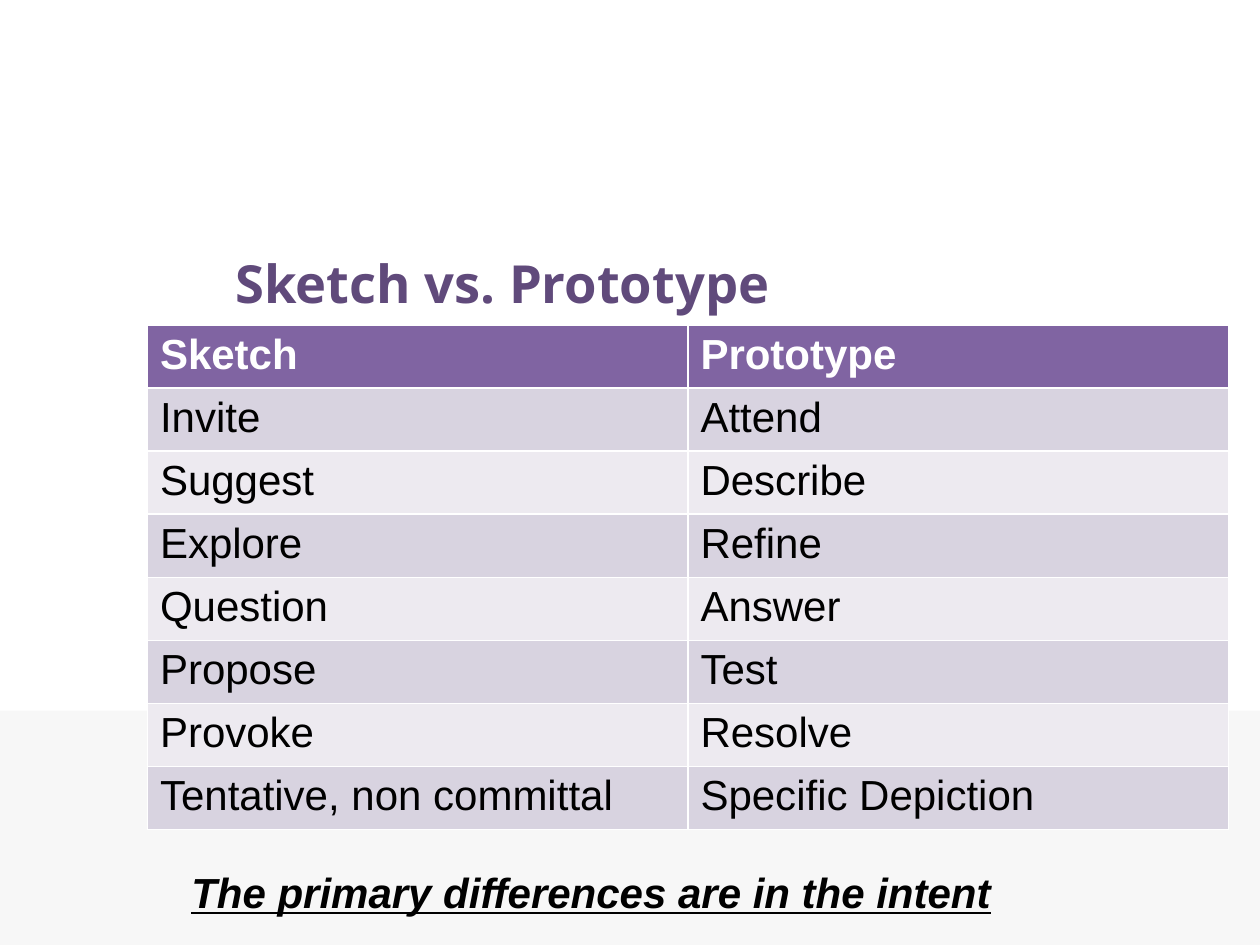
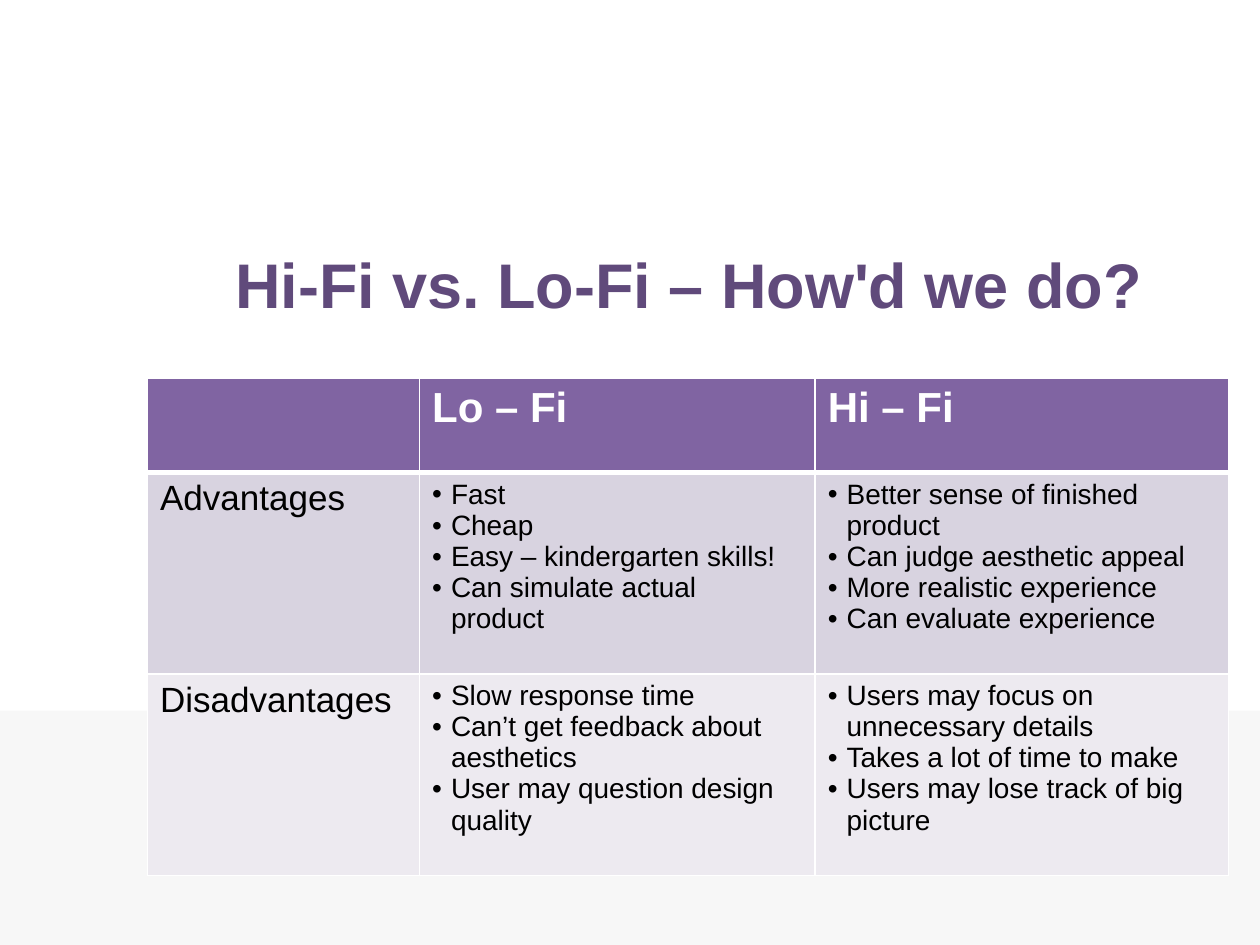
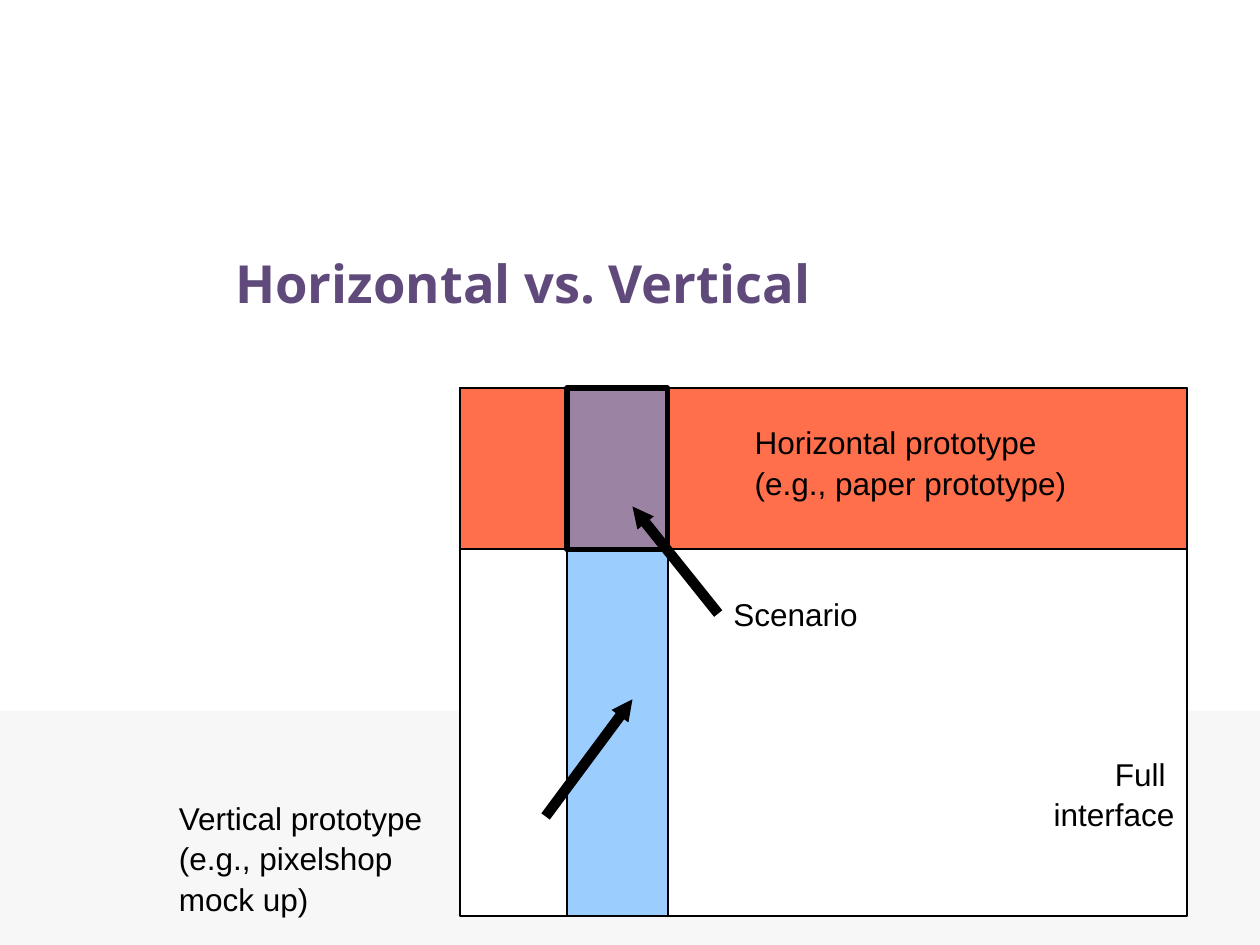
from dataclasses import dataclass

from lxml import etree
from pptx import Presentation
from pptx.dml.color import RGBColor
from pptx.enum.shapes import MSO_CONNECTOR, MSO_SHAPE
from pptx.enum.text import MSO_ANCHOR, PP_ALIGN
from pptx.oxml.ns import qn
from pptx.util import Emu, Inches, Pt

RECTANGLE = MSO_SHAPE.RECTANGLE
STRAIGHT = MSO_CONNECTOR.STRAIGHT
MIDDLE = MSO_ANCHOR.MIDDLE
LEFT, RIGHT = PP_ALIGN.LEFT, PP_ALIGN.RIGHT

SLIDE_W, SLIDE_H = Inches(10), Inches(7.5)
COLUMN, ROW = SLIDE_W // 100, SLIDE_H // 75


@dataclass(frozen=True)
class Theme:
    """Colours, fonts and type sizes of the deck."""
    paper: str = "FFFFFF"
    ink: str = "000000"
    band: str = "F7F7F7"
    title: str = "604A7B"
    header: str = "8064A2"
    stripes: tuple = ("D8D3E0", "EDEAF0")
    horizontal: str = "FF3300"
    vertical: str = "3399FF"
    body_font: str = "Arial"
    title_font: str = "Open Sans"
    title_size: int = 30
    wide_title_size: int = 36
    table_size: int = 24
    row_label_size: int = 20
    label_size: int = 18
    bullet_size: int = 16


THEME = Theme()


@dataclass(frozen=True)
class Box:
    """A region in grid columns and rows."""
    x: float
    y: float
    w: float
    h: float

    def inner(self, x, y, w, h):
        """Return a region placed from this region's top left corner."""
        return Box(self.x + x, self.y + y, w, h)

    def point(self, x, y):
        """Return a point placed from this region's top left corner."""
        return Emu(round((self.x + x) * COLUMN)), Emu(round((self.y + y) * ROW))

    def emu(self):
        """Return left, top, width and height as lengths."""
        return (*self.point(0, 0), Emu(round(self.w * COLUMN)), Emu(round(self.h * ROW)))


BAND = Box(0, 56.4, 100, 18.6)
TITLE = Box(17.7, 16.2, 77.3, 12.5)
VERB_TABLE = Box(11.7, 25.8, 85.8, 37.8)
INTENT = Box(14.2, 68.3, 73.3, 5)
FIDELITY_TABLE = Box(11.7, 30, 85.8, 39.5)
INTERFACE = Box(36.5, 30.8, 57.7, 41.9)

VERBS = [
    ("Sketch", "Prototype"),
    ("Invite", "Attend"),
    ("Suggest", "Describe"),
    ("Explore", "Refine"),
    ("Question", "Answer"),
    ("Propose", "Test"),
    ("Provoke", "Resolve"),
    ("Tentative, non committal", "Specific Depiction"),
]

FIDELITY = [
    ("", "Lo – Fi", "Hi – Fi"),
    ("Advantages",
     ["Fast", "Cheap", "Easy – kindergarten skills!", "Can simulate actual\nproduct"],
     ["Better sense of finished\nproduct", "Can judge aesthetic appeal",
      "More realistic experience", "Can evaluate experience"]),
    ("Disadvantages",
     ["Slow response time", "Can’t get feedback about\naesthetics",
      "User may question design\nquality"],
     ["Users may focus on\nunnecessary details", "Takes a lot of time to make",
      "Users may lose track of big\npicture"]),
]


def rgb(colour):
    """Turn a hex string into a colour."""
    return RGBColor.from_string(colour)


def sub(parent, tag, **attributes):
    """Append a drawing element to a parent."""
    return etree.SubElement(parent, qn(tag), attributes)


def write(frame, lines, size, colour=THEME.ink, font=THEME.body_font, bold=False,
          italic=False, underline=False, align=LEFT, spacing=None, bullets=False):
    """Write lines as paragraphs of one style, breaking at newlines."""
    for index, line in enumerate(lines):
        paragraph = frame.paragraphs[0] if index == 0 else frame.add_paragraph()
        if bullets:
            properties = paragraph._p.get_or_add_pPr()
            hang = Inches(0.15)
            properties.set("marL", str(hang))
            properties.set("indent", str(-hang))
            sub(properties, "a:buFont", typeface=THEME.body_font)
            sub(properties, "a:buChar", char="•")
        paragraph.alignment = align
        if spacing:
            paragraph.line_spacing = spacing
        for part_index, part in enumerate(line.split("\n")):
            if part_index:
                paragraph.add_line_break()
            run = paragraph.add_run()
            run.text = part
            run.font.name, run.font.size = font, Pt(size)
            run.font.bold, run.font.italic, run.font.underline = bold, italic, underline
            run.font.color.rgb = rgb(colour)


def add_text(slide, box, lines, size, inset=True, anchor=None, **style):
    """Place a wrapped text box."""
    frame = slide.shapes.add_textbox(*box.emu()).text_frame
    frame.word_wrap = True
    if anchor is not None:
        frame.vertical_anchor = anchor
    if not inset:
        frame.margin_left = frame.margin_right = frame.margin_top = frame.margin_bottom = 0
    write(frame, lines, size, **style)


def add_rectangle(slide, box, fill=None, opacity=100, line=None):
    """Place a rectangle with optional fill, opacity and outline width."""
    area = slide.shapes.add_shape(RECTANGLE, *box.emu())
    area.shadow.inherit = False
    if fill:
        area.fill.solid()
        area.fill.fore_color.rgb = rgb(fill)
        if opacity < 100:
            tint = area.fill._xPr.find(".//" + qn("a:srgbClr"))
            sub(tint, "a:alpha", val=str(opacity * 1000))
    else:
        area.fill.background()
    if line:
        area.line.color.rgb = rgb(THEME.ink)
        area.line.width = Pt(line)
    else:
        area.line.fill.background()


def add_arrow(slide, start, end):
    """Draw a thick arrow between two points."""
    arrow = slide.shapes.add_connector(STRAIGHT, *start, *end)
    arrow.line.color.rgb = rgb(THEME.ink)
    arrow.line.width = Pt(6)
    sub(arrow.line._get_or_add_ln(), "a:tailEnd", type="triangle", w="sm", len="sm")
    sub(arrow._element.spPr, "a:effectLst")


def paint_cell(cell, fill, top, bottom):
    """Give a cell its white borders and its fill."""
    properties = cell._tc.get_or_add_tcPr()
    for side, width in (("L", 1), ("R", 1), ("T", top), ("B", bottom)):
        border = sub(properties, f"a:ln{side}", w=str(Pt(width)))
        sub(sub(border, "a:solidFill"), "a:srgbClr", val=THEME.paper)
    cell.fill.solid()
    cell.fill.fore_color.rgb = rgb(fill)


def add_striped_table(slide, box, rows, widths, heights, label_size, rule):
    """Place a table with a header row and striped body rows."""
    table = slide.shapes.add_table(len(rows), len(widths), *box.emu()).table
    for column, width in zip(table.columns, widths):
        column.width = Emu(round(width * COLUMN))
    for r, (row, height) in enumerate(zip(rows, heights)):
        table.rows[r].height = Emu(round(height * ROW))
        fill = THEME.stripes[(r - 1) % 2] if r else THEME.header
        for c, content in enumerate(row):
            cell = table.cell(r, c)
            paint_cell(cell, fill, rule if r == 1 else 1, rule if r == 0 else 1)
            if isinstance(content, list):
                write(cell.text_frame, content, THEME.bullet_size, bullets=True)
            elif content and r == 0:
                write(cell.text_frame, [content], THEME.table_size, THEME.paper, bold=True)
            elif content:
                write(cell.text_frame, [content], label_size)


def start_slide(deck, title, size=THEME.title_size, font=THEME.title_font):
    """Add a blank slide with the lower band and a title."""
    slide = deck.slides.add_slide(deck.slide_layouts[6])
    add_rectangle(slide, BAND, THEME.band)
    add_text(slide, TITLE, [title], size, anchor=MIDDLE,
             colour=THEME.title, font=font, bold=True)
    return slide


def add_prototype_diagram(slide, box):
    """Draw the interface with its horizontal and vertical slices."""
    slice_x, slice_w, band_h = 8.5, 8, 12.8
    add_rectangle(slide, box, THEME.paper, line=1)
    add_rectangle(slide, box.inner(0, 0, box.w, band_h), THEME.horizontal, 70, 1)
    add_rectangle(slide, box.inner(slice_x, 0, slice_w, box.h), THEME.vertical, 49, 1)
    add_rectangle(slide, box.inner(slice_x, 0, slice_w, band_h), line=3)
    labels = [
        ((-22.3, 32.4, 19.5, 9.1), ["Vertical prototype", "(e.g., pixelshop", "mock up)"], LEFT),
        ((21.7, 16.2, 14.3, 6.5), ["Scenario"], LEFT),
        ((23.4, 2.6, 25, 6.1), ["Horizontal prototype", "(e.g., paper prototype)"], LEFT),
        ((42.8, 28.9, 13.9, 13), ["Full \ninterface"], RIGHT),
    ]
    for place, lines, align in labels:
        add_text(slide, box.inner(*place), lines, THEME.label_size,
                 inset=False, align=align, spacing=1.07)
    for start, end in (((20.5, 17.9), (13.7, 9.4)), ((6.8, 34), (13.7, 24.7))):
        add_arrow(slide, box.point(*start), box.point(*end))


def sketch_slide(deck):
    """Compare sketches with prototypes."""
    slide = start_slide(deck, "Sketch vs. Prototype")
    add_striped_table(slide, VERB_TABLE, VERBS, [VERB_TABLE.w / 2] * 2,
                      [VERB_TABLE.h / len(VERBS)] * len(VERBS), THEME.table_size, rule=1)
    add_text(slide, INTENT, ["The primary differences are in the intent"],
             THEME.table_size, bold=True, italic=True, underline=True)


def fidelity_slide(deck):
    """Compare low and high fidelity."""
    slide = start_slide(deck, "Hi-Fi vs. Lo-Fi – How'd we do?",
                        THEME.wide_title_size, THEME.body_font)
    add_striped_table(slide, FIDELITY_TABLE, FIDELITY, [21.6, 31.4, 32.8],
                      [7.5, 16, 16], THEME.row_label_size, rule=3)


def direction_slide(deck):
    """Show horizontal and vertical prototypes."""
    slide = start_slide(deck, "Horizontal vs. Vertical")
    add_prototype_diagram(slide, INTERFACE)


def main():
    """Build and save the deck."""
    deck = Presentation()
    deck.slide_width, deck.slide_height = SLIDE_W, SLIDE_H
    for build in (sketch_slide, fidelity_slide, direction_slide):
        build(deck)
    deck.save("out.pptx")


if __name__ == "__main__":
    main()
